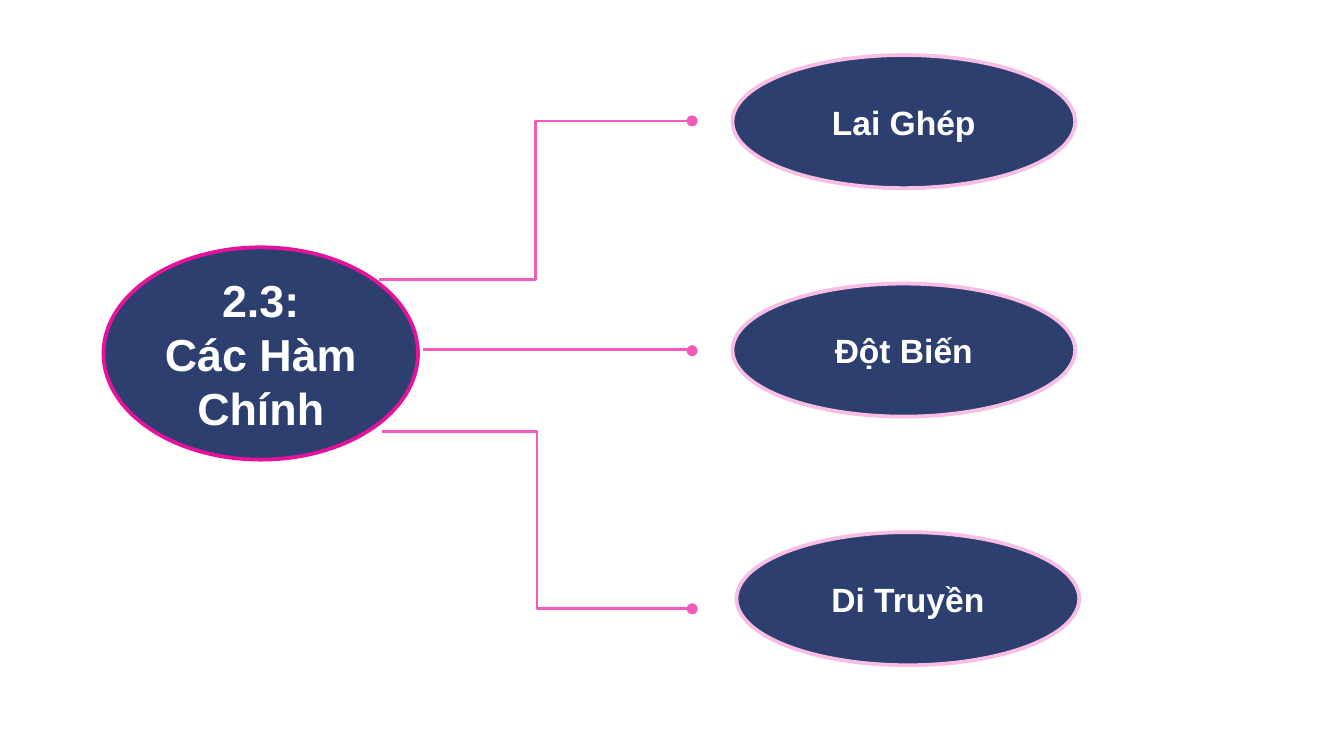
import pptx
import pptx.dml.color
import pptx.enum.shapes
import pptx.enum.text
import pptx.oxml.ns
import pptx.util
import lxml.etree

THEME = {
    "font": "Arial", "text": "FFFFFF", "fill": "2C3F6F",
    "root_line": "E7129B", "leaf_line": "FABDE4", "link": "F25ABC",
    "root_size": 24, "leaf_size": 18, "outline": 2, "link_width": 1.5,
}
rgb = pptx.dml.color.RGBColor.from_string
qn = pptx.oxml.ns.qn

prs = pptx.Presentation()
prs.slide_width = pptx.util.Inches(10)
prs.slide_height = prs.slide_width * 9 // 16
COL = ROW = prs.slide_width / 10  # square grid, ten columns wide
s = prs.slides.add_slide(prs.slide_layouts[6])


def add_ellipse(text, left, top, width, height, *, line, size):
    """Draw an ellipse, placed in grid units, with one paragraph per text line."""
    sp = s.shapes.add_shape(
        pptx.enum.shapes.MSO_SHAPE.OVAL,
        round(left * COL), round(top * ROW), round(width * COL), round(height * ROW))
    sp.shadow.inherit = False
    sp.fill.solid()
    sp.fill.fore_color.rgb = rgb(THEME["fill"])
    sp.line.color.rgb = rgb(line)
    sp.line.width = pptx.util.Pt(THEME["outline"])
    tf = sp.text_frame
    tf.word_wrap = True
    tf.vertical_anchor = pptx.enum.text.MSO_ANCHOR.MIDDLE
    for i, content in enumerate(text.split("\n")):
        p = tf.add_paragraph() if i else tf.paragraphs[0]
        p.alignment = pptx.enum.text.PP_ALIGN.CENTER
        r = p.add_run()
        r.text = content
        r.font.name = THEME["font"]
        r.font.size = pptx.util.Pt(size)
        r.font.bold = True
        r.font.color.rgb = rgb(THEME["text"])


add_ellipse("2.3:\nCác Hàm Chính", 0.77, 1.84, 2.34, 1.58,
            line=THEME["root_line"], size=THEME["root_size"])

# Links: start column, start row, end row, bend as a percentage of the width
LINK_END = 5.15
for x, y, end_y, bend in [(2.82, 2.08, 0.9, 50), (3.15, 2.6, 2.61, 100.8),
                          (2.84, 3.21, 4.53, 50)]:
    link = s.shapes.add_connector(
        pptx.enum.shapes.MSO_CONNECTOR.ELBOW,
        round(x * COL), round(y * ROW), round(LINK_END * COL), round(end_y * ROW))
    link.line.color.rgb = rgb(THEME["link"])
    link.line.width = pptx.util.Pt(THEME["link_width"])
    sp_pr = link.element.spPr
    lxml.etree.SubElement(sp_pr.find(qn("a:ln")), qn("a:tailEnd"), type="oval")
    lxml.etree.SubElement(sp_pr, qn("a:effectLst"))
    guides = sp_pr.find(qn("a:prstGeom")).get_or_add_avLst()
    lxml.etree.SubElement(guides, qn("a:gd"), name="adj1", fmla=f"val {round(bend * 1000)}")

for text, left, top in [("Lai Ghép", 5.45, 0.41), ("Di Truyền", 5.48, 3.96),
                        ("Đột Biến", 5.45, 2.11)]:
    add_ellipse(text, left, top, 2.55, 0.99,
                line=THEME["leaf_line"], size=THEME["leaf_size"])

prs.save("out.pptx")
